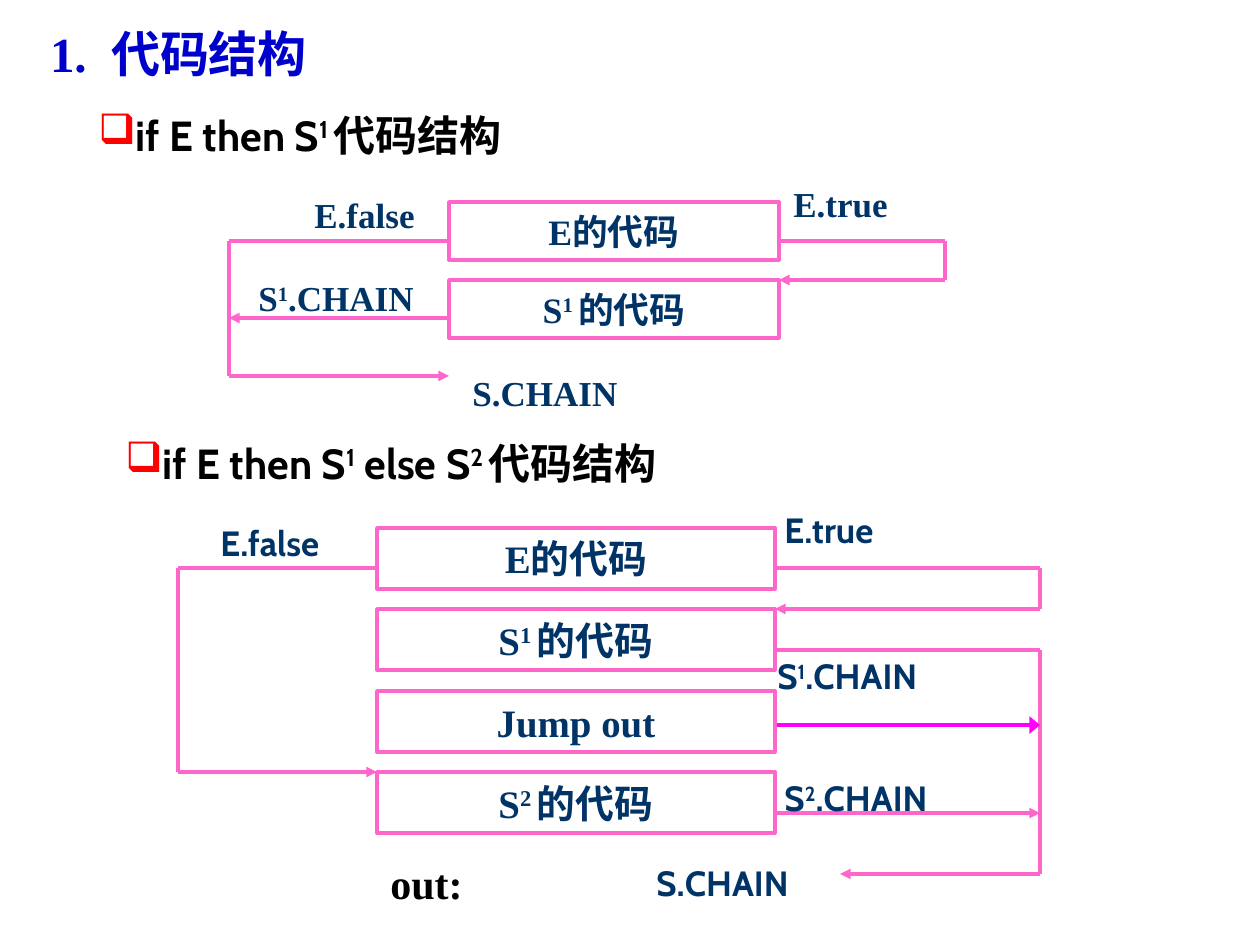
from itertools import pairwise

from lxml.etree import SubElement
from pptx import Presentation
from pptx.dml.color import RGBColor
from pptx.enum.shapes import MSO_CONNECTOR as Connector, MSO_SHAPE as Shape
from pptx.enum.text import MSO_ANCHOR as Anchor, PP_ALIGN as Align
from pptx.oxml.ns import qn
from pptx.util import Emu, Pt

EMU_PER_PX = 914400 / 126
SERIF, SANS = "Times New Roman", "Cabin"
BLACK, BLUE, NAVY = "000000", "0000CC", "003366"
WHITE, RED, PINK, MAGENTA = "FFFFFF", "FF0000", "FF66CC", "FF00FF"


def px(length):
    return Emu(round(length * EMU_PER_PX))


def color(value):
    return RGBColor.from_string(value)


class SlideBuilder:
    def __init__(self, slide, line_width=2):
        self.slide = slide
        self.line_width = Pt(line_width)

    def fill_text(self, shape, text, size, font, ink, anchor, align=Align.LEFT, bullet=None):
        """Fill a shape with one paragraph; text between ^ marks is superscript."""
        frame = shape.text_frame
        frame.word_wrap = True
        frame.vertical_anchor = anchor
        paragraph = frame.paragraphs[0]
        paragraph.alignment = align
        if bullet:
            properties = paragraph._p.get_or_add_pPr()
            properties.set("marL", "0")
            properties.set("indent", "0")
            bullet_color = SubElement(properties, qn("a:buClr"))
            SubElement(bullet_color, qn("a:srgbClr")).set("val", RED)
            SubElement(properties, qn("a:buChar")).set("char", bullet)
        paragraph.font.size = Pt(size)
        paragraph.font.name = font
        paragraph.font.bold = True
        paragraph.font.color.rgb = color(ink)
        for index, part in enumerate(text.split("^")):
            if part:
                run = paragraph.add_run()
                run.text = part
                if index % 2:
                    run._r.get_or_add_rPr().set("baseline", "30000")
        return paragraph

    def text_box(self, left, top, width, height):
        return self.slide.shapes.add_textbox(px(left), px(top), px(width), px(height))

    def title(self, text):
        box = self.text_box(21, 31, 315, 53)
        paragraph = self.fill_text(box, text, 28, SERIF, BLUE, Anchor.MIDDLE, Align.CENTER)
        paragraph.line_spacing = 0.85

    def heading(self, text, left, top, width):
        box = self.text_box(left, top, width, 63)
        self.fill_text(box, text, 24, SANS, BLACK, Anchor.TOP, bullet="❑")

    def label(self, text, left, top, width, font, size=20, ink=NAVY):
        box = self.text_box(left, top, width, 63)
        self.fill_text(box, text, size, font, ink, Anchor.BOTTOM)

    def code_block(self, text, left, top, width, height, size):
        shape = self.slide.shapes.add_shape(
            Shape.RECTANGLE, px(left), px(top), px(width), px(height))
        shape.shadow.inherit = False
        shape.fill.solid()
        shape.fill.fore_color.rgb = color(WHITE)
        shape.line.color.rgb = color(PINK)
        shape.line.width = self.line_width
        self.fill_text(shape, text, size, SERIF, NAVY, Anchor.MIDDLE, Align.CENTER)

    def route(self, *points, ink=PINK, head_width="med"):
        """Join the points with straight lines, with an arrowhead at the last."""
        for start, end in pairwise(points):
            line = self.slide.shapes.add_connector(
                Connector.STRAIGHT, *map(px, start + end))
            line.line.color.rgb = color(ink)
            line.line.width = self.line_width
            if end == points[-1]:
                tail = SubElement(line.line._get_or_add_ln(), qn("a:tailEnd"))
                tail.set("type", "triangle")
                tail.set("w", head_width)
            SubElement(line._element.spPr, qn("a:effectLst"))


def draw_if_then(builder):
    left, right, exit_left, exit_right = 449, 779, 229, 945
    builder.heading("if E then S^1 ^代码结构", 86, 103, 472)
    for row, text in enumerate(("E的代码", "S^1 ^的代码")):
        builder.code_block(text, left, 202 + 78 * row, right - left, 58, 20.4)
    builder.route((right, 241), (exit_right, 241), (exit_right, 280), (right, 280))
    builder.route((left, 241), (exit_left, 241), (exit_left, 376), (left, 376))
    builder.route((left, 318), (exit_left, 318))
    for text, x, y, width in (
        ("E.false", 302, 179, 154),
        ("E.true", 781, 168, 140),
        ("S^1^.CHAIN", 246, 262, 231),
        ("S.CHAIN", 460, 357, 334),
    ):
        builder.label(text, x, y, width, SERIF)


def draw_if_then_else(builder):
    left, right, exit_left, exit_right = 377, 775, 178, 1040
    builder.heading("if E then S^1^ else S^2 ^代码结构", 113, 431, 615)
    blocks = ("E的代码", "S^1 ^的代码", "Jump out", "S^2 ^的代码")
    for row, text in enumerate(blocks):
        builder.code_block(text, left, 528 + 163 * row // 2, right - left, 61, 22.2)
    builder.route((left, 568), (exit_left, 568), (exit_left, 772), (left, 772))
    builder.route((right, 568), (exit_right, 568), (exit_right, 609), (right, 609))
    builder.route((right, 650), (exit_right, 650), (exit_right, 874), (840, 874))
    builder.route((right, 813), (exit_right, 813))
    for text, x, y, width in (
        ("S.CHAIN", 644, 847, 214),
        ("E.false", 208, 507, 168),
        ("E.true", 772, 494, 160),
        ("S^1^.CHAIN", 765, 640, 231),
        ("S^2^.CHAIN", 772, 762, 244),
    ):
        builder.label(text, x, y, width, SANS)
    builder.label("out:", 378, 851, 116, SERIF, size=24, ink=BLACK)
    builder.route((777, 725), (exit_right, 725), ink=MAGENTA, head_width="lg")


def main():
    presentation = Presentation()
    presentation.slide_width = px(1260)
    presentation.slide_height = px(945)
    slide = presentation.slides.add_slide(presentation.slide_layouts[6])
    builder = SlideBuilder(slide)
    builder.title("1.  代码结构")
    draw_if_then(builder)
    draw_if_then_else(builder)
    presentation.save("out.pptx")


if __name__ == "__main__":
    main()
